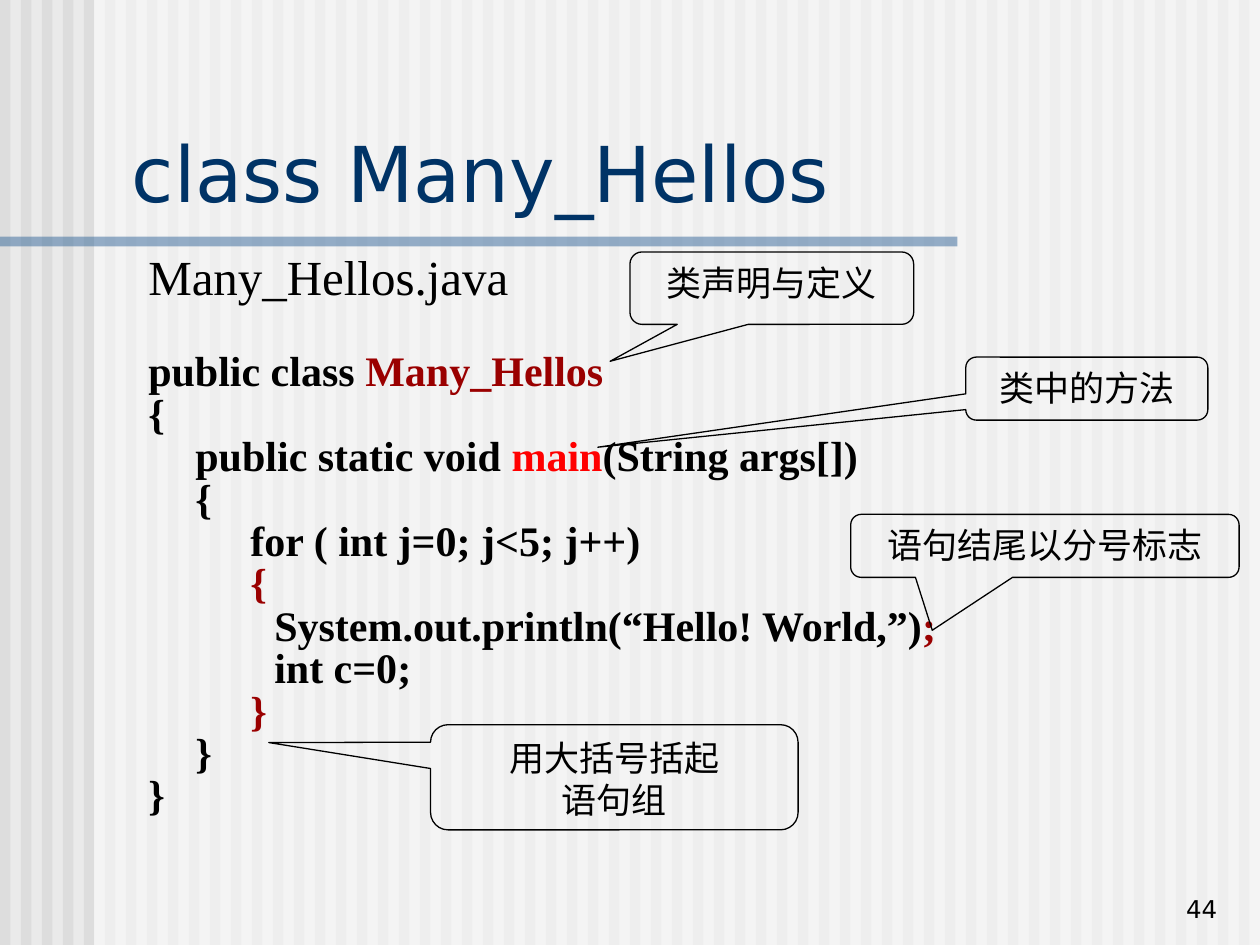
from lxml import etree
from pptx import Presentation
from pptx import util as u
from pptx.dml.color import RGBColor
from pptx.enum import shapes, text
from pptx.oxml.ns import qn

COLORS = {
    "background": "EAEAEA", "stripe": "DDDDDD", "veil": "FFFFFF", "rule": "336699",
    "title": "003366", "ink": "000000", "dark_red": "9A0000", "red": "FF0000",
}
SERIF, SANS = "Times New Roman", "DejaVu Sans"
WIDTH, HEIGHT = 25.4, 19.05
STRIPES = 60

TITLE = "class Many_Hellos"
PAGE_NUMBER = "44"
FILE_NAME = "Many_Hellos.java"

# Code lines: indent level, then runs of (text, colour)
CODE = [
    (0, [("public class ", "ink"), ("Many_Hellos", "dark_red")]),
    (0, [("{", "ink")]),
    (1, [("public static void ", "ink"), ("main", "red"), ("(String args[])", "ink")]),
    (1, [("{", "ink")]),
    (2, [("for ( int j=0; j<5; j++)", "ink")]),
    (2, [("{", "dark_red")]),
    (3, [("System.out.println(“Hello! World,”)", "ink"), (";", "dark_red")]),
    (3, [("int c=0;", "ink")]),
    (2, [("}", "dark_red")]),
    (1, [("}", "ink")]),
    (0, [("}", "ink")]),
]
INDENTS = [0, 0.95, 2.06, 2.54]

# Callouts: lines, (left, top, width, height) in cm, pointer tip relative to the box
CALLOUTS = [
    (["类声明与定义"], (12.7, 5.08, 5.72, 1.46), (-0.57, 1.01)),
    (["类中的方法"], (19.47, 7.2, 4.88, 1.27), (-2.02, 0.93)),
    (["语句结尾以分号标志"], (17.15, 10.37, 7.83, 1.27), (-0.29, 1.34)),
    (["用大括号括起", "语句组"], (8.68, 14.61, 7.41, 2.12), (-0.94, -0.33)),
]


def rgb(name):
    return RGBColor.from_string(COLORS[name])


def style(paragraph, size, font, color=None, align=None):
    paragraph.font.size = u.Pt(size)
    paragraph.font.name = font
    if color:
        paragraph.font.color.rgb = rgb(color)
    paragraph.alignment = align


def add_bar(slide, box, color, opacity=100):
    shape = slide.shapes.add_shape(shapes.MSO_SHAPE.RECTANGLE, *map(u.Cm, box))
    shape.shadow.inherit = False
    shape.line.fill.background()
    shape.fill.solid()
    shape.fill.fore_color.rgb = rgb(color)
    if opacity < 100:
        fill_color = shape.fill._xPr.find(".//" + qn("a:srgbClr"))
        etree.SubElement(fill_color, qn("a:alpha"), val=str(opacity * 1000))


def add_text(slide, box, anchor=text.MSO_ANCHOR.TOP):
    frame = slide.shapes.add_textbox(*map(u.Cm, box)).text_frame
    frame.word_wrap = True
    frame.vertical_anchor = anchor
    return frame


def add_callout(slide, lines, box, tip):
    shape = slide.shapes.add_shape(
        shapes.MSO_SHAPE.ROUNDED_RECTANGULAR_CALLOUT, *map(u.Cm, box))
    shape.shadow.inherit = False
    shape.fill.background()
    shape.line.color.rgb = rgb("ink")
    shape.line.width = u.Pt(0.75)
    shape.adjustments[0], shape.adjustments[1] = tip
    frame = shape.text_frame
    frame.vertical_anchor = text.MSO_ANCHOR.TOP
    frame.text = "\n".join(lines)
    for paragraph in frame.paragraphs:
        style(paragraph, 20, SERIF, "ink", text.PP_ALIGN.CENTER)


def add_code(slide):
    frame = add_text(slide, (2.74, 5.08, 21.59, 11.43))
    heading = frame.paragraphs[0]
    heading.text = FILE_NAME
    heading.line_spacing = 0.8
    style(heading, 28, SERIF, "ink")
    for number, (level, runs) in enumerate(CODE):
        paragraph = frame.add_paragraph()
        style(paragraph, 24, SERIF)
        paragraph.font.bold = True
        paragraph.line_spacing = 0.8
        paragraph.space_before = u.Pt(1.2 if number else 28.2)
        paragraph._p.get_or_add_pPr().set("marL", str(u.Cm(INDENTS[level])))
        for words, color in runs:
            run = paragraph.add_run()
            run.text = words
            run.font.color.rgb = rgb(color)


def main():
    presentation = Presentation()
    presentation.slide_width, presentation.slide_height = u.Cm(WIDTH), u.Cm(HEIGHT)
    slide = presentation.slides.add_slide(presentation.slide_layouts[6])

    # Striped background, veiled to the right of the margin
    slide.background.fill.solid()
    slide.background.fill.fore_color.rgb = rgb("background")
    pitch = WIDTH / STRIPES
    for number in range(STRIPES):
        add_bar(slide, (number * pitch, 0, pitch / 2, HEIGHT), "stripe")
    add_bar(slide, (1.9, 0, WIDTH - 1.9, HEIGHT), "veil", 50)
    add_bar(slide, (0, 4.77, 19.3, 0.2), "rule", 50)

    # Title
    title = add_text(slide, (2.41, 2.39, 22.68, 2.13), text.MSO_ANCHOR.BOTTOM)
    title.text = TITLE
    style(title.paragraphs[0], 44, SANS, "title")

    # Code and its callouts
    add_code(slide)
    for lines, box, tip in CALLOUTS:
        add_callout(slide, lines, box, tip)

    # Page number
    page = add_text(slide, (19.51, 17.48, 5.28, 1.27), text.MSO_ANCHOR.BOTTOM)
    page.text = PAGE_NUMBER
    style(page.paragraphs[0], 14, SANS, "ink", text.PP_ALIGN.RIGHT)

    presentation.save("out.pptx")


if __name__ == "__main__":
    main()
